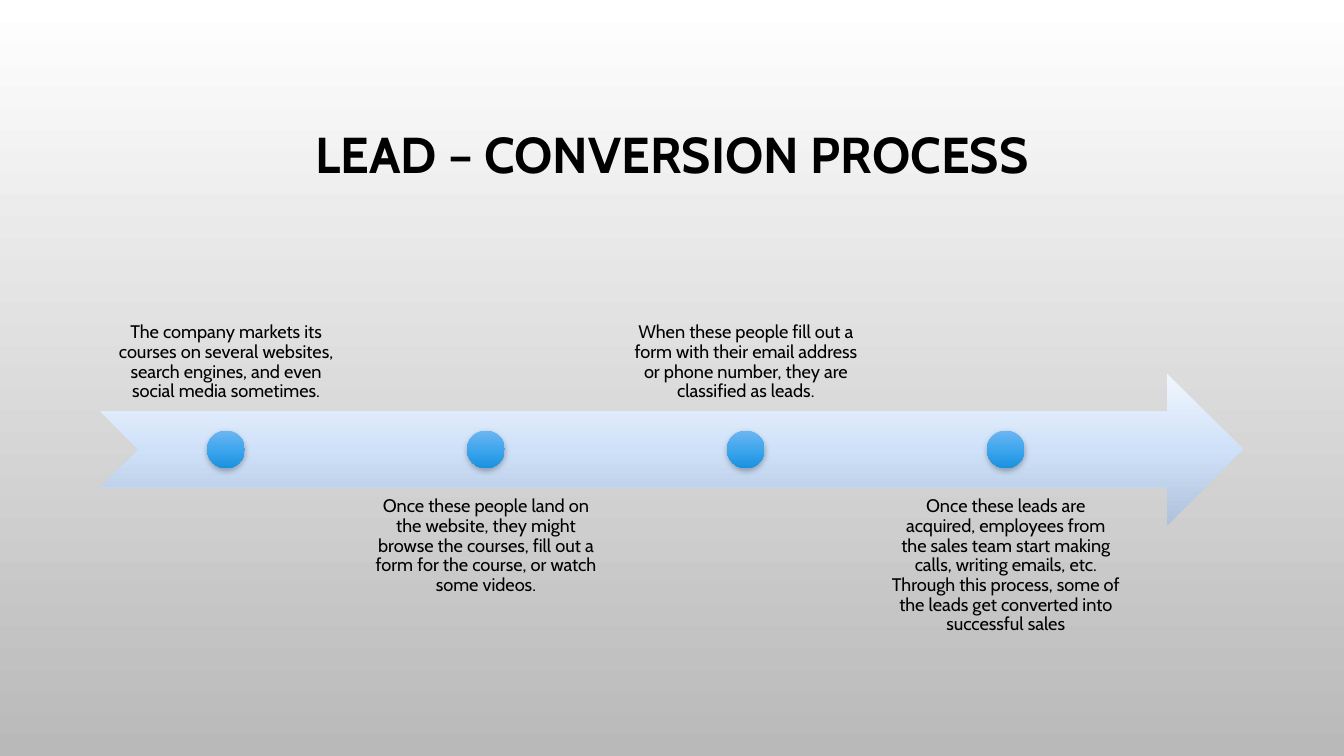
from dataclasses import dataclass

from lxml import etree
from pptx import Presentation
from pptx import util as u
from pptx.dml.color import RGBColor
from pptx.enum import shapes, text
from pptx.oxml import ns


@dataclass(frozen=True)
class Theme:
    font: str = "Cabin"
    ink: str = "000000"
    title_size: int = 36
    body_size: int = 13
    line_spacing: float = 0.9
    background: tuple = ("FFFFFF", "B9B9B9")
    arrow: tuple = ("F1F6FD", "CFE1F9", "AEC2DB")
    dot: tuple = ("6CB6F1", "3FA6EE", "1891DF")


THEME = Theme()
STEPS = [
    "The company markets its courses on several websites, search engines, "
    "and even social media sometimes.",
    "Once these people land on the website, they might browse the courses, "
    "fill out a form for the course, or watch some videos.",
    "When these people fill out a form with their email address or phone "
    "number, they are classified as leads.",
    "Once these leads are acquired, employees from the sales team start "
    "making calls, writing emails, etc. Through this process, some of the "
    "leads get converted into successful sales",
]


def add_node(parent, tag, **attrs):
    return etree.SubElement(parent, ns.qn(tag), {k: str(v) for k, v in attrs.items()})


def fill_gradient(fill, root, colors):
    """Vertical gradient with evenly spaced stops."""
    fill.gradient()
    fill.gradient_angle = 270
    stops = next(root.iter(ns.qn("a:gsLst")))
    for stop in list(stops):
        stops.remove(stop)
    for i, color in enumerate(colors):
        stop = add_node(stops, "a:gs", pos=100000 * i // (len(colors) - 1))
        add_node(stop, "a:srgbClr", val=color)


def add_shadow(sp):
    sp.shadow.inherit = False
    effects = sp._element.spPr.find(ns.qn("a:effectLst"))
    shadow = add_node(effects, "a:outerShdw", blurRad=u.Pt(4), dist=u.Pt(2),
                      dir=5400000, algn="ctr", rotWithShape=0)
    color = add_node(shadow, "a:srgbClr", val="000000")
    add_node(color, "a:alpha", val=28000)


def write(tf, words, size, anchor, bold=False):
    tf.word_wrap = True
    tf.auto_size = text.MSO_AUTO_SIZE.NONE
    tf.vertical_anchor = anchor
    p = tf.paragraphs[0]
    p.alignment = text.PP_ALIGN.CENTER
    p.line_spacing = THEME.line_spacing
    r = p.add_run()
    r.text = words
    r.font.name = THEME.font
    r.font.size = u.Pt(size)
    r.font.bold = bold
    r.font.color.rgb = RGBColor.from_string(THEME.ink)


def add_gradient_shape(s, kind, box, colors):
    sp = s.shapes.add_shape(kind, *box)
    sp.shadow.inherit = False
    sp.line.fill.background()
    fill_gradient(sp.fill, sp._element, colors)
    return sp


def add_title(s, words, box):
    sp = s.shapes.title
    sp.left, sp.top, sp.width, sp.height = box
    write(sp.text_frame, words, THEME.title_size, text.MSO_ANCHOR.MIDDLE, bold=True)


def add_step(s, words, box, dot_y, anchor):
    left, top, width, height = box
    sp = s.shapes.add_textbox(*box)
    tf = sp.text_frame
    tf.margin_left = tf.margin_right = tf.margin_top = tf.margin_bottom = u.Cm(0.25)
    write(tf, words, THEME.body_size, anchor)
    size = height // 4
    dot_box = (left + (width - size) // 2, dot_y - size // 2, size, size)
    add_shadow(add_gradient_shape(s, shapes.MSO_SHAPE.OVAL, dot_box, THEME.dot))


def add_process(s, steps, box):
    """Arrow with dots, and texts alternately above and below its shaft."""
    left, top, width, height = box
    add_gradient_shape(s, shapes.MSO_SHAPE.NOTCHED_RIGHT_ARROW, box, THEME.arrow)
    step_width, pitch = u.Cm(6.25), u.Cm(6.55)
    for i, words in enumerate(steps):
        above = i % 2 == 0
        step_top = top + height * 3 // 4 * (-1 if above else 1)
        anchor = text.MSO_ANCHOR.BOTTOM if above else text.MSO_ANCHOR.TOP
        step_box = (left + u.Cm(0.03) + i * pitch, step_top, step_width, height)
        add_step(s, words, step_box, top + height // 2, anchor)


def main():
    prs = Presentation()
    prs.slide_width, prs.slide_height = u.Cm(33.87), u.Cm(19.05)
    s = prs.slides.add_slide(prs.slide_layouts[5])
    fill_gradient(s.background.fill, s._element, THEME.background)

    # Title
    add_title(s, "LEAD – CONVERSION PROCESS",
              (u.Cm(2.54), u.Cm(1.73), u.Cm(28.78), u.Cm(4.45)))
    # Process arrow
    add_process(s, STEPS, (u.Cm(2.54), u.Cm(9.42), u.Cm(28.78), u.Cm(3.81)))
    prs.save("out.pptx")


if __name__ == "__main__":
    main()
